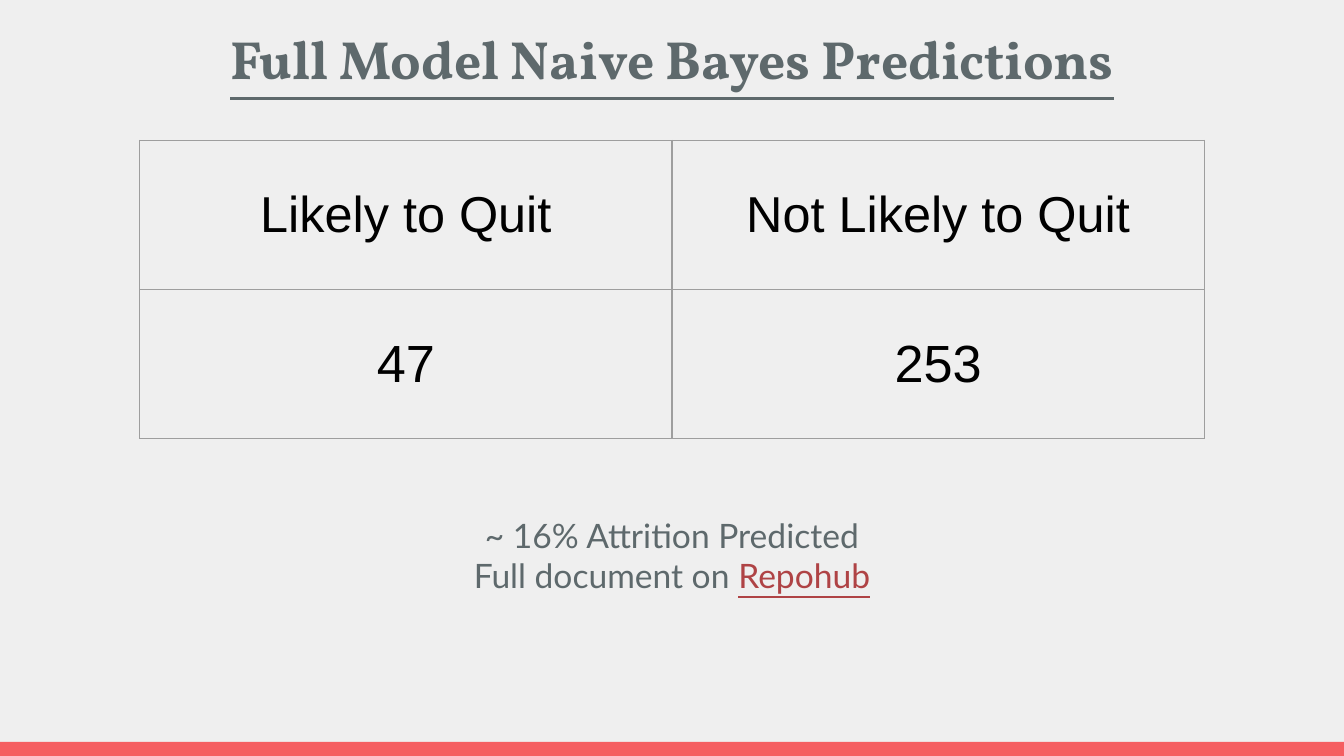
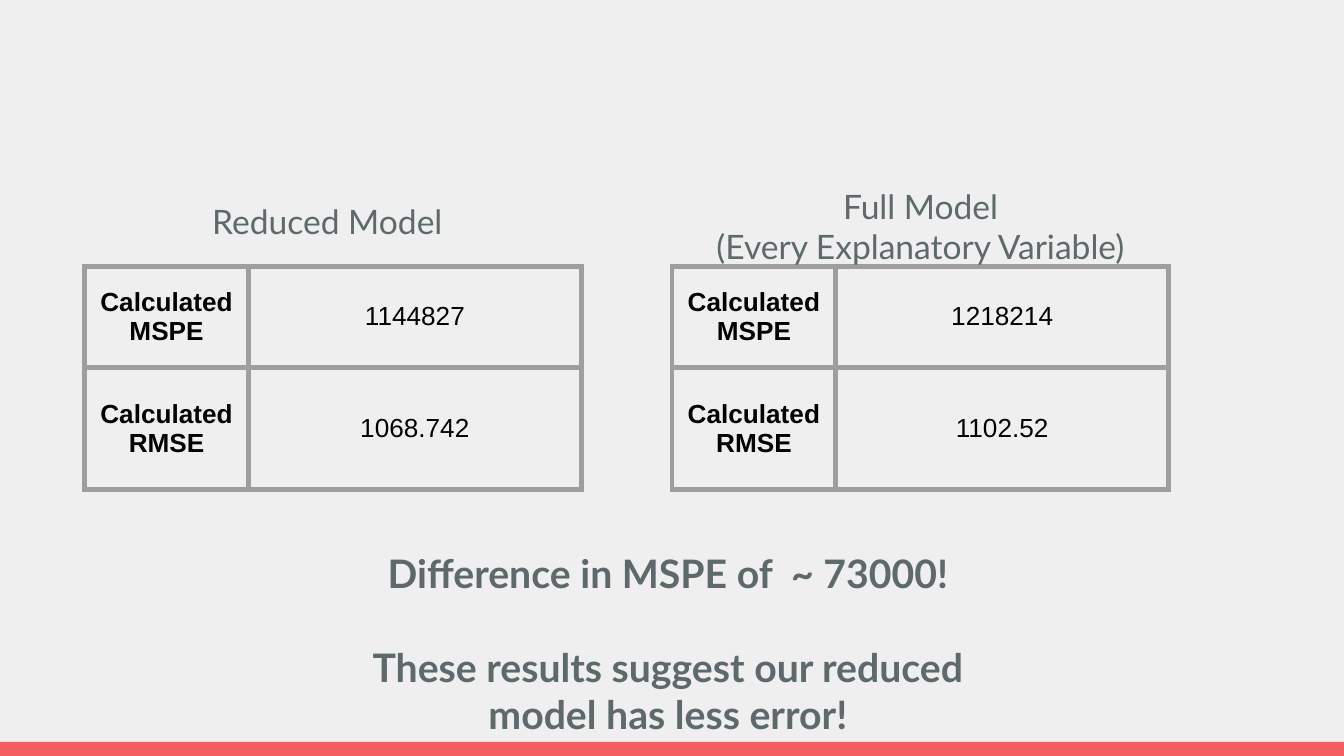
from lxml.etree import SubElement
from pptx import Presentation
from pptx.dml.color import RGBColor
from pptx.enum.shapes import MSO_SHAPE
from pptx.enum.text import MSO_ANCHOR, PP_ALIGN
from pptx.oxml import parse_xml
from pptx.oxml.ns import nsdecls, qn
from pptx.util import Pt

PX = 4572  # 200 px to the inch
SLIDE_WIDTH, SLIDE_HEIGHT = 2000, 1125
BAND_HEIGHT = 21
MARGIN = 20

COLORS = {
    "background": "EFEFEF",
    "band": "F55E61",
    "slate": "5E696C",
    "link": "AF4345",
    "cell": "000000",
    "border": "9E9E9E",
}

TITLE = {"name": "Vollkorn", "size": 28.8, "color": "slate", "bold": True, "underline": True}
BODY = {"name": "Lato", "size": 18, "color": "slate"}
LINK = {**BODY, "color": "link", "underline": True}
CONCLUSION = {**BODY, "size": 21, "bold": True}
CELL = {"name": "Arial", "color": "cell", "bold": False}

# Each text: box, paragraphs of (wording, format) runs, then paragraph and frame options
SLIDES = [
    {
        "texts": [
            ((68, 18, 1864, 136), [[("Full Model Naive Bayes Predictions", TITLE)]], {}),
            (
                (539, 674, 922, 304),
                [
                    [("~ 16% Attrition Predicted", BODY)],
                    [("Full document on ", BODY), ("Repohub", LINK)],
                ],
                {"anchor": MSO_ANCHOR.MIDDLE},
            ),
        ],
        "tables": [
            {
                "at": (208, 209),
                "columns": (792, 792),
                "rows": (222, 222),
                "sizes": (27, 28),
                "border": 0.75,
                "bold_labels": False,
                "values": [("Likely to Quit", "Not Likely to Quit"), ("47", "253")],
            }
        ],
    },
    {
        "texts": [
            (
                (1000, 256, 740, 98),
                [[("Full Model", BODY)], [("(Every Explanatory Variable)", BODY)]],
                {},
            ),
            ((296, 279, 398, 98), [[("Reduced Model", BODY)]], {"alignment": PP_ALIGN.LEFT}),
            (
                (528, 798, 932, 272),
                [
                    [("Difference in MSPE of  ~ 73000!", CONCLUSION)],
                    [("These results suggest our reduced model has less error!", CONCLUSION)],
                ],
                {"gap": 25.2},
            ),
        ],
        "tables": [
            {
                "at": (left, 396),
                "columns": (244, 495),
                "rows": (151, 182),
                "sizes": (14, 14),
                "border": 3,
                "bold_labels": True,
                "values": [("Calculated MSPE", mspe), ("Calculated RMSE", rmse)],
            }
            for left, mspe, rmse in [(126, "1144827", "1068.742"), (1000, "1218214", "1102.52")]
        ],
    },
]


def emu(*lengths):
    return [length * PX for length in lengths]


def rgb(name):
    return RGBColor.from_string(COLORS[name])


def add_run(paragraph, wording, text_format):
    run = paragraph.add_run()
    run.text = wording
    for attribute, value in text_format.items():
        if attribute == "color":
            run.font.color.rgb = rgb(value)
        else:
            setattr(run.font, attribute, Pt(value) if attribute == "size" else value)


def set_margins(holder):
    for side in ("left", "right", "top", "bottom"):
        setattr(holder, f"margin_{side}", MARGIN * PX)


def add_text(slide, box, paragraphs, alignment=PP_ALIGN.CENTER, anchor=MSO_ANCHOR.TOP, gap=0):
    frame = slide.shapes.add_textbox(*emu(*box)).text_frame
    frame.word_wrap = True
    frame.vertical_anchor = anchor
    set_margins(frame)
    for index, runs in enumerate(paragraphs):
        paragraph = frame.add_paragraph() if index else frame.paragraphs[0]
        paragraph.alignment = alignment
        if index and gap:
            paragraph.space_before = Pt(gap)
        for wording, text_format in runs:
            add_run(paragraph, wording, text_format)


def set_borders(cell, width):
    properties = cell._tc.get_or_add_tcPr()
    for index, side in enumerate("LRTB"):
        line = parse_xml(f'<a:ln{side} {nsdecls("a")} w="{Pt(width)}"/>')
        fill = SubElement(line, qn("a:solidFill"))
        SubElement(fill, qn("a:srgbClr"), val=COLORS["border"])
        properties.insert(index, line)


def add_table(slide, content):
    columns, rows = content["columns"], content["rows"]
    frame = slide.shapes.add_table(
        len(rows), len(columns), *emu(*content["at"], sum(columns), sum(rows))
    )
    table = frame.table
    table.first_row = table.horz_banding = False
    for column, width in zip(table.columns, columns):
        column.width = width * PX
    for row, height, size, values in zip(table.rows, rows, content["sizes"], content["values"]):
        row.height = height * PX
        for index, (cell, value) in enumerate(zip(row.cells, values)):
            cell.fill.background()
            cell.vertical_anchor = MSO_ANCHOR.MIDDLE
            set_margins(cell)
            set_borders(cell, content["border"])
            paragraph = cell.text_frame.paragraphs[0]
            paragraph.alignment = PP_ALIGN.CENTER
            bold = content["bold_labels"] and index == 0
            add_run(paragraph, value, {**CELL, "size": size, "bold": bold})


def add_base_slide(presentation):
    """Add a blank slide with the shared background and bottom band."""
    slide = presentation.slides.add_slide(presentation.slide_layouts[6])
    slide.background.fill.solid()
    slide.background.fill.fore_color.rgb = rgb("background")
    band = slide.shapes.add_shape(
        MSO_SHAPE.RECTANGLE, *emu(0, SLIDE_HEIGHT - BAND_HEIGHT, SLIDE_WIDTH, BAND_HEIGHT)
    )
    band.shadow.inherit = False
    band.fill.solid()
    band.fill.fore_color.rgb = rgb("band")
    band.line.fill.background()
    return slide


def main():
    presentation = Presentation()
    presentation.slide_width, presentation.slide_height = emu(SLIDE_WIDTH, SLIDE_HEIGHT)
    for content in SLIDES:
        slide = add_base_slide(presentation)
        for table in content["tables"]:
            add_table(slide, table)
        for box, paragraphs, options in content["texts"]:
            add_text(slide, box, paragraphs, **options)
    presentation.save("out.pptx")


if __name__ == "__main__":
    main()
